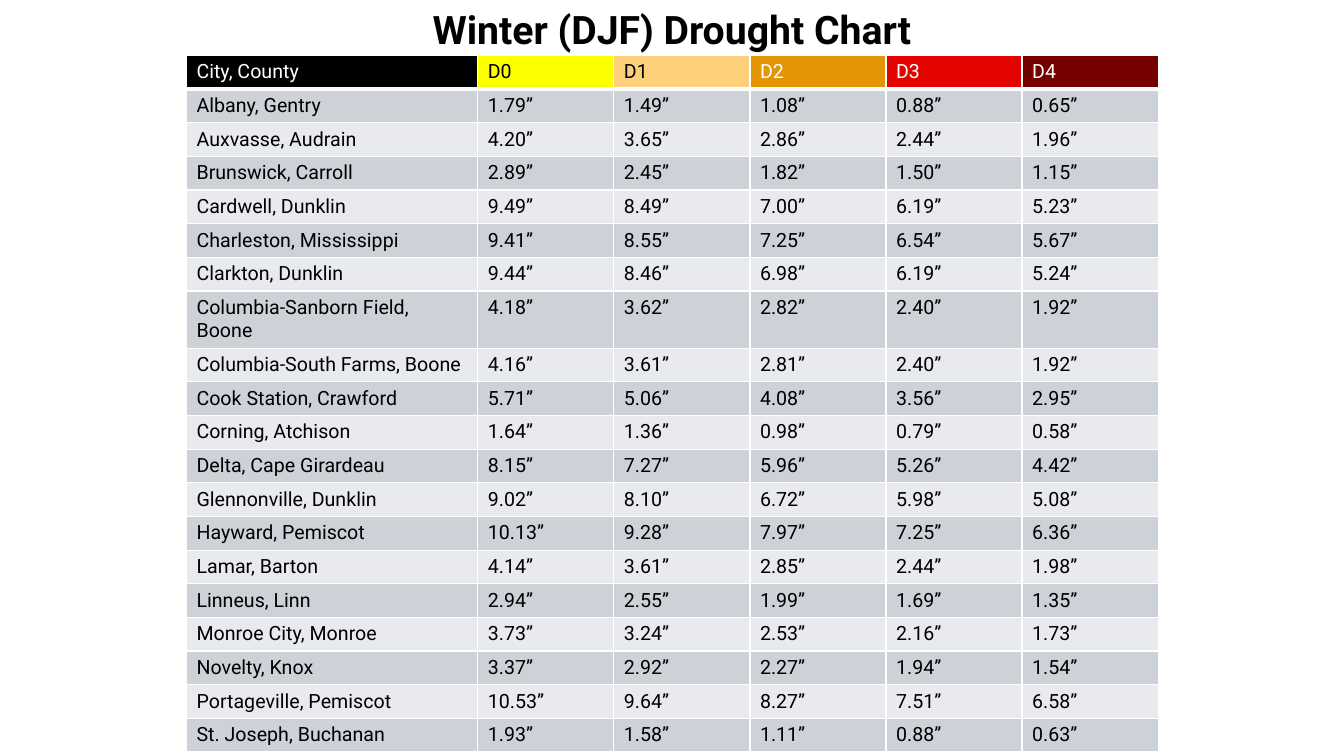
from dataclasses import dataclass

from lxml import etree
from pptx import Presentation
from pptx.dml.color import RGBColor
from pptx.enum import text
from pptx.oxml import ns
from pptx.util import Pt

FONT = "Roboto"
BLACK, WHITE = "000000", "FFFFFF"
BANDS = ("CCD2D8", "E8EAED")
CITY_WIDTH, LEVEL_WIDTH = 208.08, 97.2
ROW_HEIGHT, TALL_ROW_HEIGHT = 23.04, 38.88
TALL_ROW = 7


@dataclass(frozen=True)
class Heading:
    label: str
    fill: str
    color: str


@dataclass(frozen=True)
class Station:
    name: str
    inches: str

    def cells(self) -> list[str]:
        return [self.name] + [f"{value}”" for value in self.inches.split()]


HEADINGS = [
    Heading("City, County", BLACK, WHITE),
    Heading("D0", "FCFF00", BLACK),
    Heading("D1", "FFD07B", BLACK),
    Heading("D2", "E49505", WHITE),
    Heading("D3", "E30400", WHITE),
    Heading("D4", "760000", WHITE),
]

STATIONS = [
    Station("Albany, Gentry", "1.79 1.49 1.08 0.88 0.65"),
    Station("Auxvasse, Audrain", "4.20 3.65 2.86 2.44 1.96"),
    Station("Brunswick, Carroll", "2.89 2.45 1.82 1.50 1.15"),
    Station("Cardwell, Dunklin", "9.49 8.49 7.00 6.19 5.23"),
    Station("Charleston, Mississippi", "9.41 8.55 7.25 6.54 5.67"),
    Station("Clarkton, Dunklin", "9.44 8.46 6.98 6.19 5.24"),
    Station("Columbia-Sanborn Field, Boone", "4.18 3.62 2.82 2.40 1.92"),
    Station("Columbia-South Farms, Boone", "4.16 3.61 2.81 2.40 1.92"),
    Station("Cook Station, Crawford", "5.71 5.06 4.08 3.56 2.95"),
    Station("Corning, Atchison", "1.64 1.36 0.98 0.79 0.58"),
    Station("Delta, Cape Girardeau", "8.15 7.27 5.96 5.26 4.42"),
    Station("Glennonville, Dunklin", "9.02 8.10 6.72 5.98 5.08"),
    Station("Hayward, Pemiscot", "10.13 9.28 7.97 7.25 6.36"),
    Station("Lamar, Barton", "4.14 3.61 2.85 2.44 1.98"),
    Station("Linneus, Linn", "2.94 2.55 1.99 1.69 1.35"),
    Station("Monroe City, Monroe", "3.73 3.24 2.53 2.16 1.73"),
    Station("Novelty, Knox", "3.37 2.92 2.27 1.94 1.54"),
    Station("Portageville, Pemiscot", "10.53 9.64 8.27 7.51 6.58"),
    Station("St. Joseph, Buchanan", "1.93 1.58 1.11 0.88 0.63"),
]


def rgb(value: str) -> RGBColor:
    return RGBColor.from_string(value)


def put_text(tf, content: str, *, size: float = 14, color: str = BLACK,
             bold: bool = False, align=text.PP_ALIGN.LEFT) -> None:
    p = tf.paragraphs[0]
    p.alignment = align
    r = p.add_run()
    r.text = content
    r.font.name = FONT
    r.font.size = Pt(size)
    r.font.bold = bold
    r.font.color.rgb = rgb(color)


def set_borders(cell, bottom: float) -> None:
    tc_pr = cell._tc.get_or_add_tcPr()
    widths = {"a:lnL": 1, "a:lnR": 1, "a:lnT": 1, "a:lnB": bottom}
    for i, (tag, width) in enumerate(widths.items()):
        ln = etree.Element(ns.qn(tag), w=str(Pt(width)))
        fill = etree.SubElement(ln, ns.qn("a:solidFill"))
        etree.SubElement(fill, ns.qn("a:srgbClr"), val=WHITE)
        tc_pr.insert(i, ln)


def fill_cell(cell, content: str, fill: str, color: str = BLACK,
              bottom: float = 1) -> None:
    put_text(cell.text_frame, content, color=color)
    cell.fill.solid()
    cell.fill.fore_color.rgb = rgb(fill)
    set_borders(cell, bottom)


def add_title(s) -> None:
    sp = s.shapes.title
    sp.left, sp.top, sp.width, sp.height = Pt(301.68), Pt(0), Pt(356.4), Pt(41.04)
    tf = sp.text_frame
    tf.word_wrap = False
    tf.auto_size = text.MSO_AUTO_SIZE.SHAPE_TO_FIT_TEXT
    tf.vertical_anchor = text.MSO_ANCHOR.TOP
    put_text(tf, "Winter (DJF) Drought Chart", size=28, bold=True,
             align=text.PP_ALIGN.CENTER)


def add_drought_table(s) -> None:
    width = CITY_WIDTH + LEVEL_WIDTH * (len(HEADINGS) - 1)
    frame = s.shapes.add_table(len(STATIONS) + 1, len(HEADINGS),
                               Pt(133.2), Pt(39.6), Pt(width), Pt(496.8))
    table = frame.table
    for i, column in enumerate(table.columns):
        column.width = Pt(LEVEL_WIDTH if i else CITY_WIDTH)
    for i, row in enumerate(table.rows):
        row.height = Pt(TALL_ROW_HEIGHT if i == TALL_ROW else ROW_HEIGHT)
    for col, heading in enumerate(HEADINGS):
        fill_cell(table.cell(0, col), heading.label, heading.fill,
                  heading.color, bottom=3)
    for row, station in enumerate(STATIONS):
        for col, content in enumerate(station.cells()):
            fill_cell(table.cell(row + 1, col), content, BANDS[row % 2])


def main() -> None:
    prs = Presentation()
    prs.slide_width, prs.slide_height = Pt(960), Pt(540)
    s = prs.slides.add_slide(prs.slide_layouts[5])
    add_title(s)
    add_drought_table(s)
    prs.save("out.pptx")


if __name__ == "__main__":
    main()
